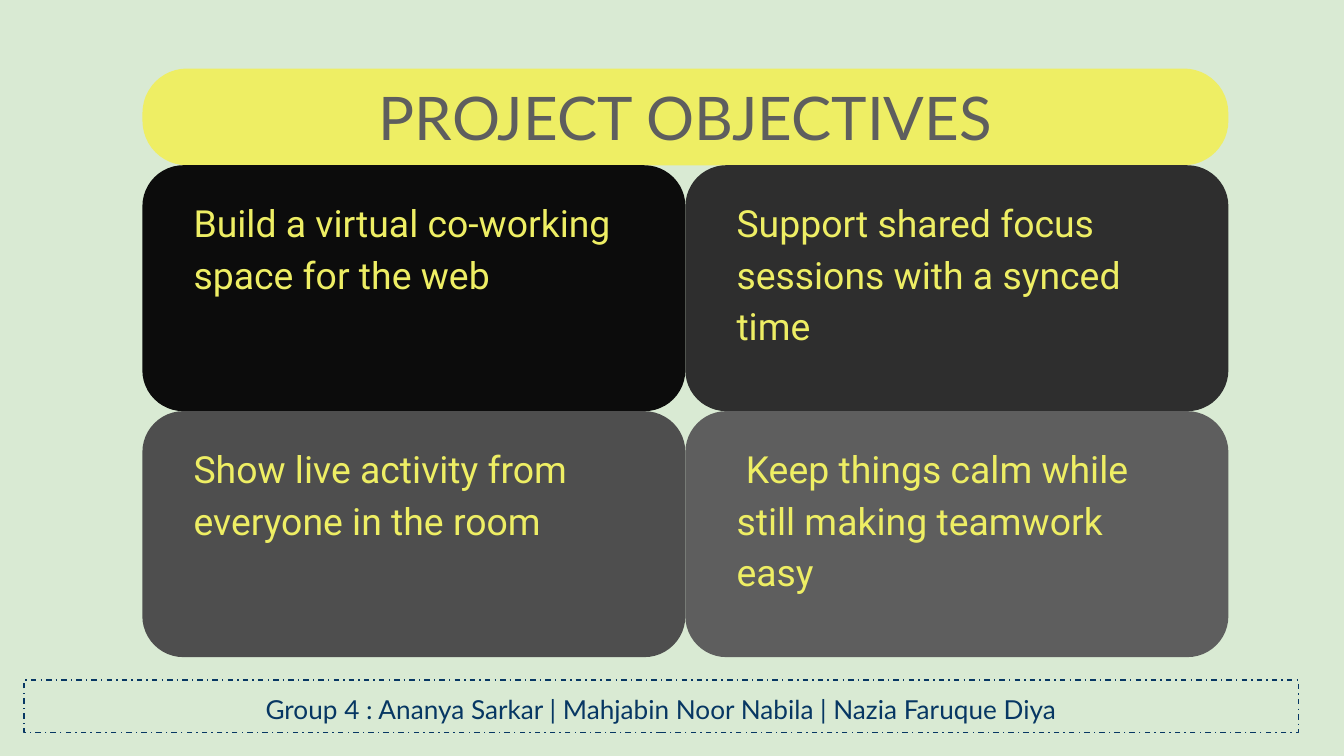
from pptx import Presentation, util as u
from pptx.dml.color import RGBColor
from pptx.enum import dml, shapes, text

YELLOW, GREY, NAVY = "EEEE64", "5E5E5E", "073763"
LEFT, TOP = 1.06, 1.23
WIDE, HIGH = 4.04, 1.83
PAD_X, PAD_Y = 0.38, 0.21


def paint(part, tone):
    """Give a fill or a line's fill one solid colour."""
    part.solid()
    part.fore_color.rgb = RGBColor.from_string(tone)


def write(box, words, font, size, tone, inset, align, anchor):
    frame = box.text_frame
    frame.word_wrap = True
    frame.auto_size = text.MSO_AUTO_SIZE.NONE
    frame.vertical_anchor = anchor
    frame.margin_left = frame.margin_right = u.Inches(inset)
    frame.margin_top = frame.margin_bottom = u.Inches(inset)
    para = frame.paragraphs[0]
    para.alignment = align
    run = para.add_run()
    run.text = words
    run.font.name = font
    run.font.size = u.Pt(size)
    run.font.color.rgb = RGBColor.from_string(tone)
    return para


deck = Presentation()
deck.slide_width = u.Inches(10)
deck.slide_height = deck.slide_width * 9 // 16
slide = deck.slides.add_slide(deck.slide_layouts[5])
paint(slide.background.fill, "D9EAD3")

# Footer with the team
team = slide.shapes.add_shape(
    shapes.MSO_SHAPE.RECTANGLE,
    u.Inches(0.18), u.Inches(5.06), u.Inches(9.48), u.Inches(0.39))
team.shadow.inherit = False
team.fill.background()
paint(team.line.fill, NAVY)
team.line.width = u.Pt(0.75)
team.line.dash_style = dml.MSO_LINE.DASH_DOT
write(team, "Group 4 : Ananya Sarkar | Mahjabin Noor Nabila | Nazia Faruque Diya",
      "Lato", 14, NAVY, 0.1, text.PP_ALIGN.CENTER, text.MSO_ANCHOR.TOP)

# Title on a pill across both columns
spot = [u.Inches(n) for n in (LEFT, 0.51, 2 * WIDE, TOP - 0.51)]
pill = slide.shapes.add_shape(shapes.MSO_SHAPE.ROUNDED_RECTANGLE, *spot)
pill.adjustments[0] = 0.46
pill.shadow.inherit = False
pill.line.fill.background()
paint(pill.fill, YELLOW)
title = slide.shapes.title
title.left, title.top, title.width, title.height = spot
write(title, "PROJECT OBJECTIVES", "Lato", 32.2, GREY, 0.13,
      text.PP_ALIGN.CENTER, text.MSO_ANCHOR.MIDDLE)
pill._element.addnext(title._element)

# Two by two grid of objectives
goals = [
    ("0C0C0C", "Build a virtual co‑working space for the web"),
    ("2E2E2E", "Support shared focus sessions with a synced time"),
    ("4E4E4E", "Show live activity from everyone in the room"),
    (GREY, " Keep things calm while still making teamwork easy"),
]
for i, (tone, words) in enumerate(goals):
    row, col = divmod(i, 2)
    x, y = LEFT + col * WIDE, TOP + row * HIGH
    card = slide.shapes.add_shape(
        shapes.MSO_SHAPE.ROUNDED_RECTANGLE,
        u.Inches(x), u.Inches(y), u.Inches(WIDE), u.Inches(HIGH))
    card.shadow.inherit = False
    card.line.fill.background()
    paint(card.fill, tone)
    # The first goal runs to the card's right edge
    right = 0 if i == 0 else PAD_X
    box = slide.shapes.add_textbox(
        u.Inches(x + PAD_X), u.Inches(y + PAD_Y),
        u.Inches(WIDE - PAD_X - right), u.Inches(HIGH - 2 * PAD_Y))
    para = write(box, words, "Roboto", 20, YELLOW, 0,
                 text.PP_ALIGN.LEFT, text.MSO_ANCHOR.TOP)
    para.line_spacing = 1.15

deck.save("out.pptx")
